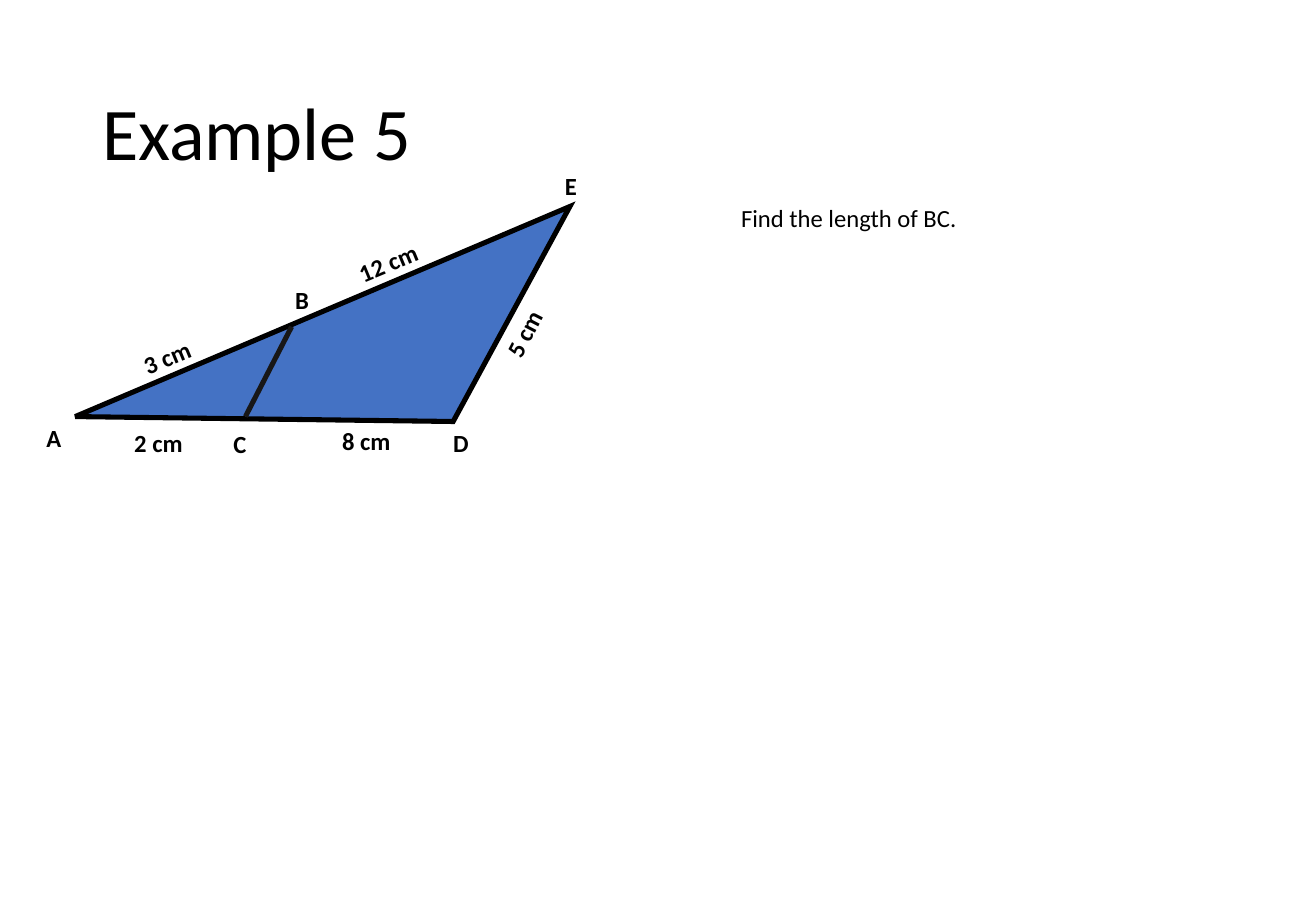
from dataclasses import dataclass

from lxml.etree import SubElement
from pptx import Presentation
from pptx.dml.color import RGBColor
from pptx.enum.shapes import MSO_CONNECTOR as Connector
from pptx.enum.text import MSO_ANCHOR as Anchor, MSO_AUTO_SIZE as AutoSize, PP_ALIGN as Align
from pptx.oxml.ns import qn
from pptx.shapes.group import GroupShape
from pptx.slide import Slide
from pptx.text.text import TextFrame
from pptx.util import Inches, Pt

WIDTH, HEIGHT = Inches(10.83), Inches(7.5)
COLORS = {"text": "000000", "triangle": "4472C4", "outline": "000000", "segment": "181717"}
FONT = "Calibri"
LINE_WIDTH = Pt(3)
LABEL_HEIGHT = 4.67


@dataclass(frozen=True)
class Point:
    """A place on a grid of 100 columns and 100 rows."""
    column: float
    row: float

    @property
    def emu(self) -> tuple[int, int]:
        return round(WIDTH * self.column / 100), round(HEIGHT * self.row / 100)


@dataclass(frozen=True)
class Label:
    text: str
    corner: Point
    columns: float
    rotation: float = 0
    bold: bool = True
    align: Align = Align.CENTER


A, B, C = Point(5.72, 45.73), Point(22.16, 35.87), Point(18.65, 45.73)
D, E = Point(34.44, 46.27), Point(43.31, 22.67)

LABELS = [
    Label("A", Point(3.14, 45.73), 1.29),
    Label("B", Point(21.51, 30.67), 2.22),
    Label("C", Point(17.36, 46.4), 1.29),
    Label("D", Point(33.52, 46.27), 2.59),
    Label("2 cm", Point(8.4, 46.27), 7.29),
    Label("E", Point(42.01, 18.13), 2.59),
    Label("8 cm", Point(24.19, 46.13), 7.29),
    Label("12 cm", Point(25.85, 26.53), 7.29, rotation=337.5),
    Label("3 cm", Point(9.05, 36.93), 7.29, rotation=337.5),
    Label("5 cm", Point(35.83, 34.27), 8.03, rotation=297.5),
    Label("Find the length of BC.", Point(55.4, 21.6), 30.66, bold=False, align=Align.LEFT),
]


def color(name: str) -> RGBColor:
    return RGBColor.from_string(COLORS[name])


def write_text(frame: TextFrame, text: str, *, size: float = 14.6, bold: bool = False,
               align: Align = Align.LEFT, spacing: float = 1.0) -> None:
    frame.word_wrap = True
    paragraph = frame.paragraphs[0]
    paragraph.alignment = align
    paragraph.line_spacing = spacing
    run = paragraph.add_run()
    run.text = text
    run.font.name, run.font.size, run.font.bold = FONT, Pt(size), bold
    run.font.color.rgb = color("text")


def add_title(slide: Slide, text: str) -> None:
    title = slide.shapes.title
    title.left, title.top = Point(6.83, 5.33).emu
    title.width, title.height = Point(86.24, 19.33).emu
    title.text_frame.vertical_anchor = Anchor.MIDDLE
    write_text(title.text_frame, text, size=44, spacing=0.9)


def add_triangle(group: GroupShape, corners: list[Point]) -> None:
    builder = group.shapes.build_freeform(*corners[0].emu)
    builder.add_line_segments([corner.emu for corner in corners[1:]], close=True)
    triangle = builder.convert_to_shape()
    triangle.shadow.inherit = False
    triangle.fill.solid()
    triangle.fill.fore_color.rgb = color("triangle")
    triangle.line.color.rgb = color("outline")
    triangle.line.width = LINE_WIDTH
    SubElement(triangle.line._get_or_add_ln(), qn("a:miter"), lim="800000")


def add_segment(group: GroupShape, start: Point, end: Point) -> None:
    segment = group.shapes.add_connector(Connector.STRAIGHT, *start.emu, *end.emu)
    segment.line.color.rgb = color("segment")
    segment.line.width = LINE_WIDTH
    SubElement(segment._element.spPr, qn("a:effectLst"))


def add_label(slide: Slide, label: Label) -> None:
    size = Point(label.columns, LABEL_HEIGHT)
    box = slide.shapes.add_textbox(*label.corner.emu, *size.emu)
    box.rotation = label.rotation
    box.text_frame.auto_size = AutoSize.SHAPE_TO_FIT_TEXT
    write_text(box.text_frame, label.text, bold=label.bold, align=label.align)


def main() -> None:
    presentation = Presentation()
    presentation.slide_width, presentation.slide_height = WIDTH, HEIGHT
    slide = presentation.slides.add_slide(presentation.slide_layouts.get_by_name("Title Only"))
    add_title(slide, "Example 5")
    figure = slide.shapes.add_group_shape()
    add_triangle(figure, [E, D, A])
    add_segment(figure, B, C)
    for label in LABELS:
        add_label(slide, label)
    presentation.save("out.pptx")


if __name__ == "__main__":
    main()
